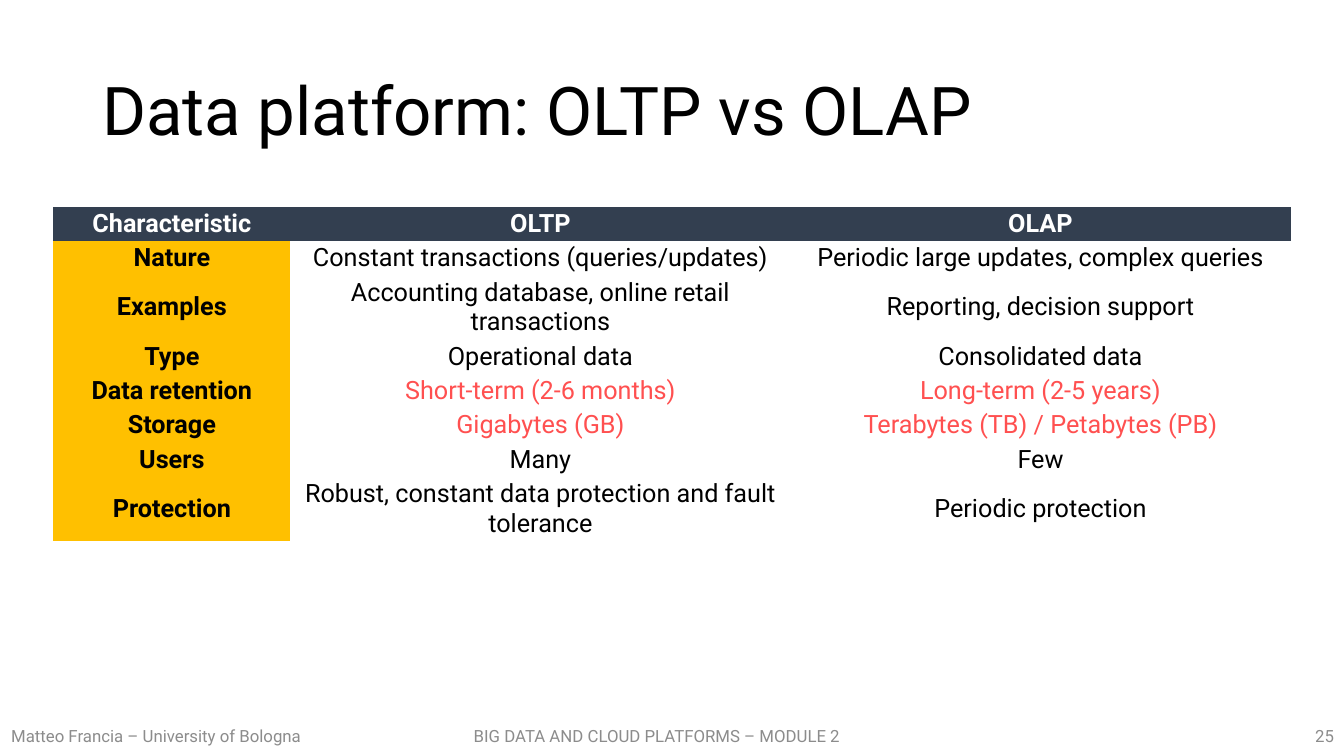
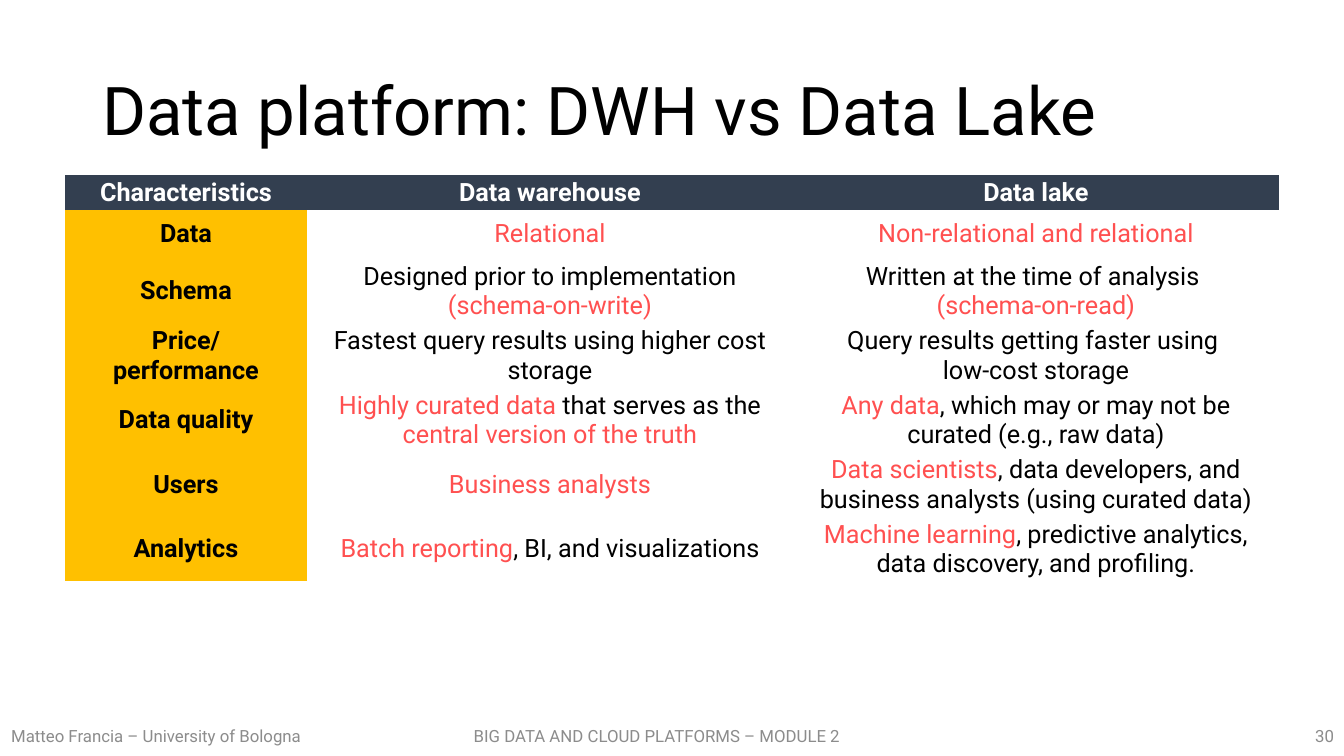
from dataclasses import dataclass

from pptx import Presentation, util as u
from pptx.dml import color
from pptx.enum import text as t
from pptx.oxml import ns

PAGE_WIDTH, PAGE_HEIGHT = 13.33, 7.5
FONT = "Roboto"
BLACK, WHITE, GREY = "000000", "FFFFFF", "8C8C8C"
NAVY, AMBER, CORAL = "333F50", "FFC000", "FF5050"
LEFT, CENTER, RIGHT = t.PP_ALIGN.LEFT, t.PP_ALIGN.CENTER, t.PP_ALIGN.RIGHT

BLANK_LAYOUT = 6
NO_TABLE_STYLE = "{2D5ABB26-0587-4C30-8999-92F81FD0307C}"
FOOTER_HEIGHT = 0.4
ONE_LINE, TALL_LINE, TWO_LINES = 0.34, 0.49, 0.64  # table row heights


@dataclass(frozen=True)
class Footer:
    text: str
    width: float
    share: float  # share of the free page width to the left of the box
    align: t.PP_ALIGN


@dataclass(frozen=True)
class Row:
    height: float
    cells: tuple[str, str, str]  # *asterisks* mark highlighted words


@dataclass(frozen=True)
class Comparison:
    title: str
    number: int
    top: float
    label_width: float
    value_width: float
    rows: tuple[Row, ...]


FOOTERS = (
    Footer("BIG DATA AND CLOUD PLATFORMS – MODULE 2", 4.13, 0.5, LEFT),
    Footer("Matteo Francia – University of Bologna", 3.1, 0, CENTER),
)

COMPARISONS = (
    Comparison("Data platform: OLTP vs OLAP", 25, 2.05, 2.35, 4.96, (
        Row(ONE_LINE, ("Characteristic", "OLTP", "OLAP")),
        Row(ONE_LINE, ("Nature", "Constant transactions (queries/updates)",
                       "Periodic large updates, complex queries")),
        Row(TWO_LINES, ("Examples", "Accounting database, online retail transactions",
                        "Reporting, decision support")),
        Row(ONE_LINE, ("Type", "Operational data", "Consolidated data")),
        Row(ONE_LINE, ("Data retention", "*Short-term (2-6 months)*",
                       "*Long-term (2-5 years)*")),
        Row(ONE_LINE, ("Storage", "*Gigabytes (GB)*",
                       "*Terabytes (TB) / Petabytes (PB)*")),
        Row(ONE_LINE, ("Users", "Many", "Few")),
        Row(TWO_LINES, ("Protection",
                        "Robust, constant data protection and fault tolerance",
                        "Periodic protection")),
    )),
    Comparison("Data platform: DWH vs Data Lake", 30, 1.74, 2.4, 4.82, (
        Row(ONE_LINE, ("Characteristics", "Data warehouse", "Data lake")),
        Row(TALL_LINE, ("Data", "*Relational*", "*Non-relational and relational*")),
        Row(TWO_LINES, ("Schema",
                        "Designed prior to implementation *(schema-on-write)*",
                        "Written at the time of analysis \n*(schema-on-read)*")),
        Row(TWO_LINES, ("Price/\nperformance",
                        "Fastest query results using higher cost storage",
                        "Query results getting faster using \nlow-cost storage")),
        Row(TWO_LINES, ("Data quality",
                        "*Highly curated data* that serves as the "
                        "*central version of the truth*",
                        "*Any data*, which may or may not be curated (e.g., raw data)")),
        Row(TWO_LINES, ("Users", "*Business analysts*",
                        "*Data scientists*, data developers, and "
                        "business analysts (using curated data)")),
        Row(TWO_LINES, ("Analytics", "*Batch reporting*, BI, and visualizations",
                        "*Machine learning*, predictive analytics, "
                        "data discovery, and profiling.")),
    )),
)


def rgb(value: str) -> color.RGBColor:
    return color.RGBColor.from_string(value)


def offset(width: float, share: float) -> float:
    """Left edge of a box that leaves this share of the free width before it."""
    return (PAGE_WIDTH - width) * share


def write(para, words: str, *, size: float, ink: str = BLACK, bold: bool = False,
          align: t.PP_ALIGN = LEFT) -> None:
    """Write words, colouring those between asterisks and breaking at newlines."""
    para.alignment = align
    for index, part in enumerate(words.split("*")):
        for line_index, line in enumerate(part.split("\n")):
            if line_index:
                para.add_line_break()
            if line:
                span = para.add_run()
                span.text = line
                span.font.name = FONT
                span.font.size = u.Pt(size)
                span.font.bold = bold
                span.font.color.rgb = rgb(CORAL if index % 2 else ink)


def add_text(page, words: str, left: float, top: float, width: float, height: float,
             *, spacing: float = 1.0, **style) -> None:
    box = page.shapes.add_textbox(*map(u.Inches, (left, top, width, height)))
    frame = box.text_frame
    frame.word_wrap = True
    frame.vertical_anchor = t.MSO_ANCHOR.MIDDLE
    frame.paragraphs[0].line_spacing = spacing
    write(frame.paragraphs[0], words, **style)


def add_footer(page, footer: Footer) -> None:
    add_text(page, footer.text, offset(footer.width, footer.share),
             PAGE_HEIGHT - FOOTER_HEIGHT, footer.width, FOOTER_HEIGHT,
             size=12, ink=GREY, align=footer.align)


def fill_cell(cell, words: str, is_header: bool, is_label: bool) -> None:
    cell.margin_left = cell.margin_right = u.Inches(0.04)
    cell.margin_top = cell.margin_bottom = u.Inches(0.02)
    cell.vertical_anchor = t.MSO_ANCHOR.MIDDLE
    if is_header or is_label:
        cell.fill.solid()
        cell.fill.fore_color.rgb = rgb(NAVY if is_header else AMBER)
    else:
        cell.fill.background()
    write(cell.text_frame.paragraphs[0], words, size=18, align=CENTER,
          ink=WHITE if is_header else BLACK, bold=is_header or is_label)


def add_comparison_table(page, comparison: Comparison) -> None:
    widths = (comparison.label_width, comparison.value_width, comparison.value_width)
    width = sum(widths)
    height = sum(row.height for row in comparison.rows)
    frame = page.shapes.add_table(
        len(comparison.rows), len(widths),
        *map(u.Inches, (offset(width, 0.5), comparison.top, width, height)))
    for style in frame.element.iter(ns.qn("a:tableStyleId")):
        style.text = NO_TABLE_STYLE
    table = frame.table
    table.horz_banding = False
    for column, column_width in zip(table.columns, widths):
        column.width = u.Inches(column_width)
    for row_index, row in enumerate(comparison.rows):
        table.rows[row_index].height = u.Inches(row.height)
        for column_index, words in enumerate(row.cells):
            fill_cell(table.cell(row_index, column_index), words,
                      is_header=row_index == 0, is_label=column_index == 0)


def add_page(deck, comparison: Comparison) -> None:
    page = deck.slides.add_slide(deck.slide_layouts[BLANK_LAYOUT])
    # Title
    add_text(page, comparison.title, offset(11.5, 0.5), 0.4, 11.5, 1.45,
             size=48, spacing=0.9)
    # Table
    add_comparison_table(page, comparison)
    # Footers and page number
    for footer in (*FOOTERS, Footer(str(comparison.number), 3, 1, RIGHT)):
        add_footer(page, footer)


def main() -> None:
    deck = Presentation()
    deck.slide_width = u.Inches(PAGE_WIDTH)
    deck.slide_height = u.Inches(PAGE_HEIGHT)
    for comparison in COMPARISONS:
        add_page(deck, comparison)
    deck.save("out.pptx")


if __name__ == "__main__":
    main()
